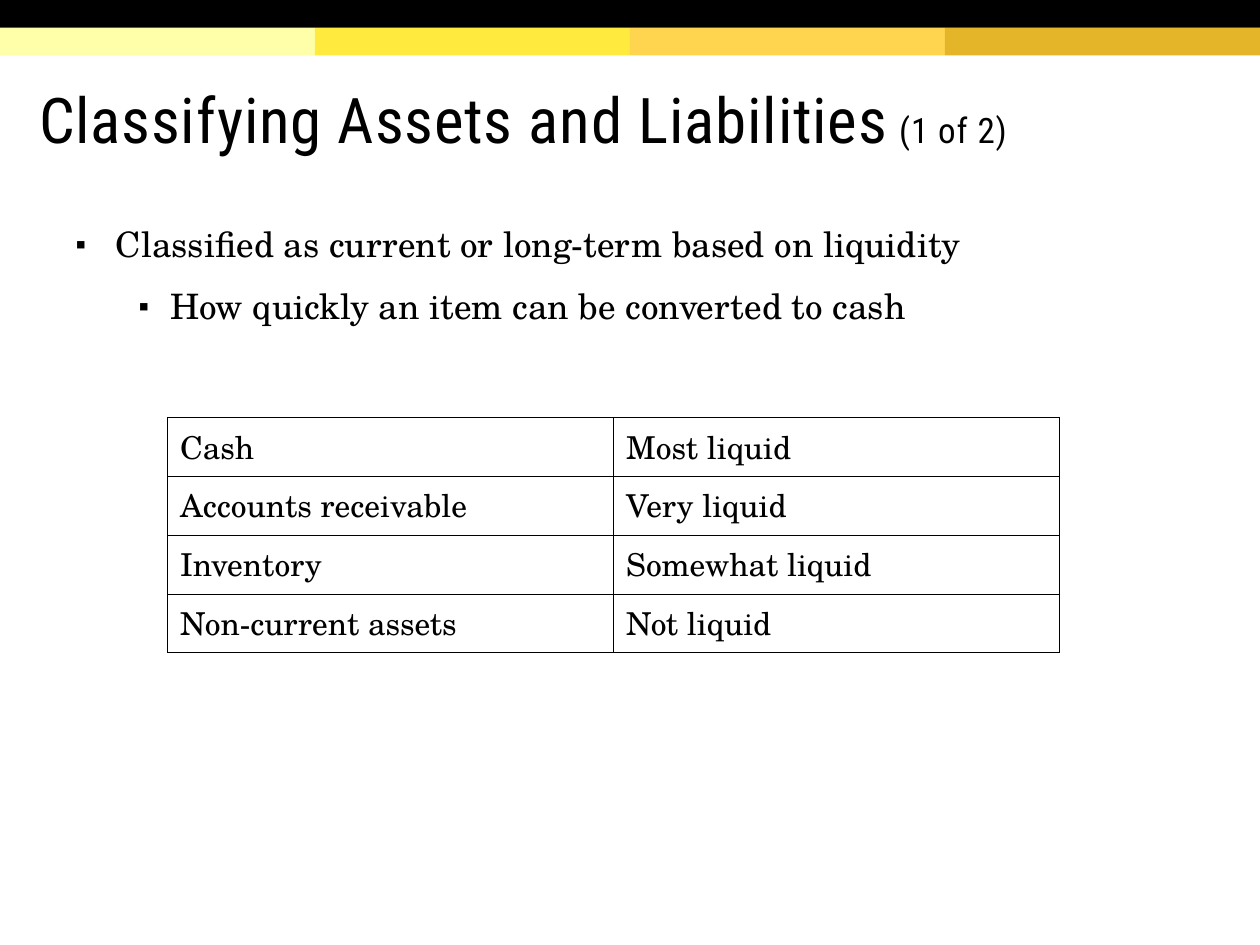
"""Build a slide on classifying assets and liabilities by liquidity."""
from dataclasses import dataclass

import pptx
import pptx.dml.color
import pptx.enum.shapes
import pptx.enum.text
import pptx.oxml
import pptx.oxml.ns
import pptx.util
from pptx.util import Inches


@dataclass(frozen=True)
class Theme:
    ink: str = "000000"
    paper: str = "FFFFFF"
    bands: tuple = ("FFFFAA", "FFEA3D", "FFD54F", "E4B429")
    heading_font: str = "Roboto Condensed"
    text_font: str = "TeX Gyre Schola"
    title_size: int = 36
    body_size: int = 20
    table_size: int = 18


THEME = Theme()
BULLETS = (
    ("Classified as current or long-term based on liquidity", 0.32, -0.32),
    ("How quickly an item can be converted to cash", 0.75, -0.25),
)
LIQUIDITY = (
    ("Cash", "Most liquid"),
    ("Accounts receivable", "Very liquid"),
    ("Inventory", "Somewhat liquid"),
    ("Non-current assets", "Not liquid"),
)


def rgb(value):
    return pptx.dml.color.RGBColor.from_string(value)


def append_xml(parent, markup):
    namespace = pptx.oxml.ns.nsdecls("a")
    wrapper = pptx.oxml.parse_xml(f"<a:wrapper {namespace}>{markup}</a:wrapper>")
    for element in list(wrapper):
        parent.append(element)


def style_font(font, name, size):
    font.name = name
    font.size = pptx.util.Pt(size)
    font.color.rgb = rgb(THEME.ink)


def place(box, left, top, width, height):
    box.left, box.top = Inches(left), Inches(top)
    box.width, box.height = Inches(width), Inches(height)


def add_band(page, left, top, width, color):
    band = page.shapes.add_shape(
        pptx.enum.shapes.MSO_SHAPE.RECTANGLE,
        Inches(left), Inches(top), Inches(width), Inches(0.22),
    )
    band.shadow.inherit = False
    band.fill.solid()
    band.fill.fore_color.rgb = rgb(color)
    band.line.fill.background()


def add_header(page):
    for index, color in enumerate(THEME.bands):
        add_band(page, 2.5 * index, 0.22, 2.5, color)
    add_band(page, 0, 0, 10, THEME.ink)


def fill_title(box):
    place(box, 0.21, 0.47, 9.49, 0.98)
    frame = box.text_frame
    frame.auto_size = pptx.enum.text.MSO_AUTO_SIZE.NONE
    frame.vertical_anchor = pptx.enum.text.MSO_ANCHOR.MIDDLE
    frame.margin_top = Inches(0.1)
    paragraph = frame.paragraphs[0]
    paragraph.alignment = pptx.enum.text.PP_ALIGN.LEFT
    paragraph.line_spacing = 0.85
    parts = (
        ("Classifying Assets and Liabilities", THEME.title_size),
        (" (1 of 2)", THEME.body_size),
    )
    for text, size in parts:
        span = paragraph.add_run()
        span.text = text
        style_font(span.font, THEME.heading_font, size)
        span.font._element.set("spc", "50")


def fill_bullets(box):
    place(box, 0.5, 1.75, 9, 1.08)
    frame = box.text_frame
    frame.auto_size = pptx.enum.text.MSO_AUTO_SIZE.NONE
    for level, (text, margin, indent) in enumerate(BULLETS):
        paragraph = frame.add_paragraph() if level else frame.paragraphs[0]
        paragraph.text = text
        paragraph.level = level
        paragraph.line_spacing = 0.92
        paragraph.space_before = pptx.util.Pt(6.5 if level else 0)
        paragraph.space_after = pptx.util.Pt(6.5)
        properties = paragraph._p.get_or_add_pPr()
        properties.set("marL", str(Inches(margin)))
        properties.set("indent", str(Inches(indent)))
        append_xml(
            properties,
            f'<a:buClr><a:srgbClr val="{THEME.ink}"/></a:buClr>'
            '<a:buSzPct val="85000"/><a:buChar char="▪"/>',
        )
        style_font(paragraph.font, THEME.text_font, THEME.body_size)


def style_cell(cell, text):
    cell.text = text
    style_font(cell.text_frame.paragraphs[0].font, THEME.text_font, THEME.table_size)
    properties = cell._tc.get_or_add_tcPr()
    for side in ("lnL", "lnR", "lnT", "lnB"):
        append_xml(
            properties,
            f'<a:{side} w="{pptx.util.Pt(0.25)}"><a:solidFill>'
            f'<a:srgbClr val="{THEME.ink}"/></a:solidFill></a:{side}>',
        )
    cell.fill.solid()
    cell.fill.fore_color.rgb = rgb(THEME.paper)


def add_liquidity_table(page):
    table = page.shapes.add_table(
        len(LIQUIDITY), 2, Inches(1.33), Inches(3.31), Inches(7.08), Inches(1.62)
    ).table
    table.first_row = False
    table.horz_banding = False
    for row, texts in enumerate(LIQUIDITY):
        for column, text in enumerate(texts):
            style_cell(table.cell(row, column), text)


def main():
    deck = pptx.Presentation()
    deck.slide_width, deck.slide_height = Inches(10), Inches(7.5)
    page = deck.slides.add_slide(deck.slide_layouts[1])
    add_header(page)
    fill_title(page.shapes.title)
    fill_bullets(page.placeholders[1])
    add_liquidity_table(page)
    deck.save("out.pptx")


if __name__ == "__main__":
    main()
